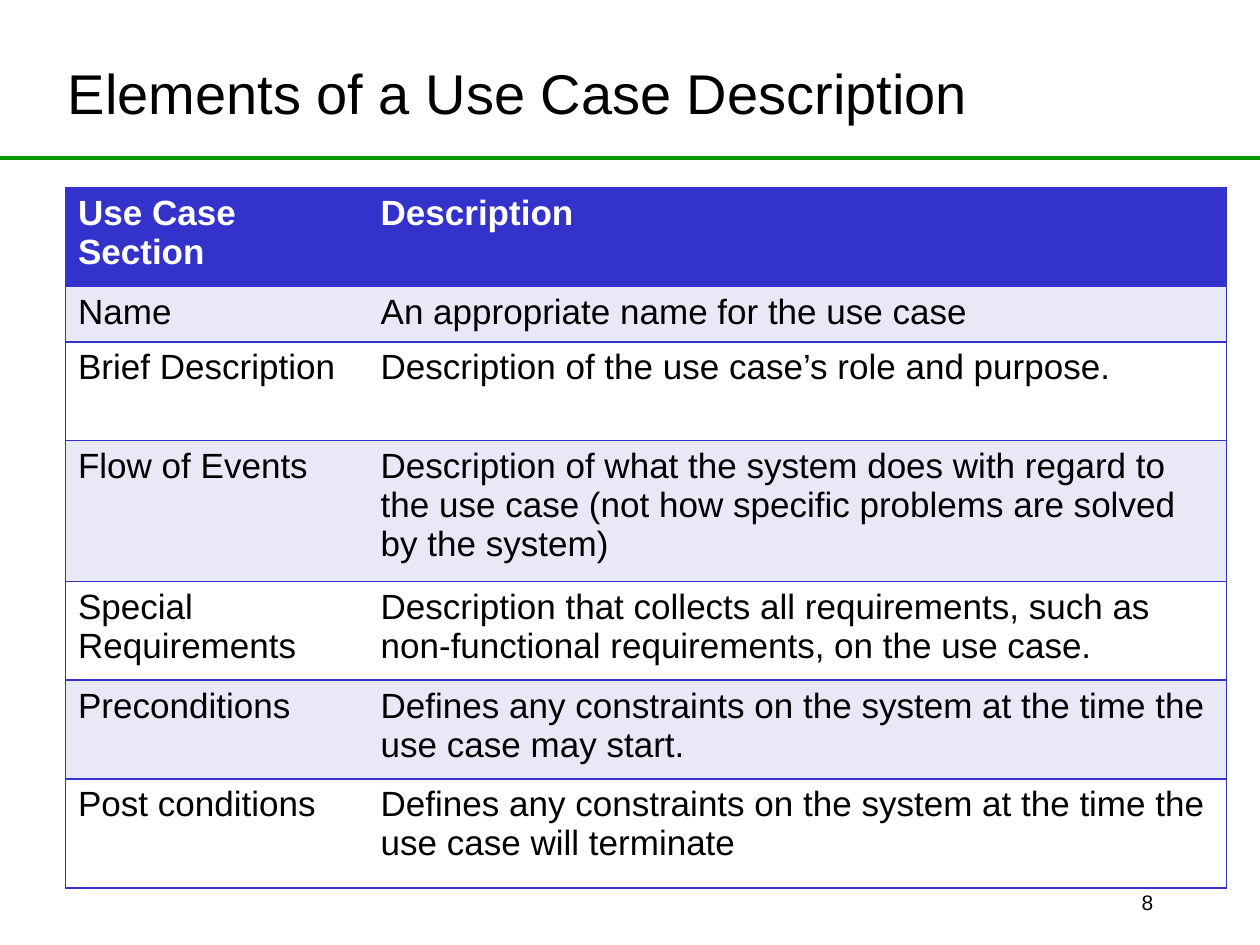
from lxml.etree import SubElement
from pptx import Presentation
from pptx.dml.color import RGBColor
from pptx.enum.shapes import MSO_CONNECTOR
from pptx.enum.text import MSO_ANCHOR as Anchor, PP_ALIGN as Align
from pptx.oxml.ns import qn
from pptx.util import Cm, Pt

BLACK = RGBColor(0x00, 0x00, 0x00)
WHITE = RGBColor(0xFF, 0xFF, 0xFF)
GREEN = RGBColor(0x00, 0x99, 0x00)
BLUE = RGBColor(0x33, 0x33, 0xCC)
LAVENDER = RGBColor(0xE8, 0xE8, 0xF6)

FONT = "Arial"
SLIDE_WIDTH, SLIDE_HEIGHT = Cm(25.4), Cm(19.05)
COLUMN_WIDTHS = (6.1, 17.3)
ROWS = [  # height in cm, section, description
    (1.99, "Use Case Section", "Description"),
    (1.12, "Name", "An appropriate name for the use case"),
    (1.99, "Brief Description", "Description of the use case’s role and purpose."),
    (2.84, "Flow of Events",
     "Description of what the system does with regard to the use case "
     "(not how specific problems are solved by the system)"),
    (1.99, "Special Requirements",
     "Description that collects all requirements, such as "
     "non-functional requirements, on the use case."),
    (1.99, "Preconditions",
     "Defines any constraints on the system at the time the use case may start."),
    (2.2, "Post conditions",
     "Defines any constraints on the system at the time the use case will terminate"),
]


def format_text(paragraph, size, color=BLACK, bold=False):
    for run in paragraph.runs:
        font = run.font
        font.name, font.size, font.bold = FONT, Pt(size), bold
        font.color.rgb = color


def add_text(slide, text, left, top, width, height, size,
             align=Align.LEFT, anchor=Anchor.TOP):
    frame = slide.shapes.add_textbox(left, top, width, height).text_frame
    frame.word_wrap = True
    frame.vertical_anchor = anchor
    frame.text = text
    frame.paragraphs[0].alignment = align
    format_text(frame.paragraphs[0], size)


def add_header(slide, left, top, width, height):
    """Place the title above a rule that spans the box."""
    add_text(slide, "Elements of a Use Case Description", left + Cm(1.12), top + Cm(0.53),
             Cm(22.78), Cm(2.64), 32, anchor=Anchor.MIDDLE)
    bottom = top + height
    rule = slide.shapes.add_connector(MSO_CONNECTOR.STRAIGHT, left, bottom, left + width, bottom)
    rule.line.color.rgb = GREEN
    rule.line.width = Pt(2.25)
    SubElement(rule._element.spPr, qn("a:effectLst"))


def set_borders(cell, outer_side):
    """Draw every side but the one shared by the two columns."""
    properties = cell._tc.get_or_add_tcPr()
    for side in "LRTB":
        line = SubElement(properties, qn(f"a:ln{side}"), w=str(Pt(1)))
        if side in (outer_side, "T", "B"):
            fill = SubElement(line, qn("a:solidFill"))
            SubElement(fill, qn("a:srgbClr"), val=str(BLUE))
        else:
            SubElement(line, qn("a:noFill"))


def add_elements_table(slide, left, top, width, height):
    table = slide.shapes.add_table(len(ROWS), len(COLUMN_WIDTHS), left, top, width, height).table
    table.horz_banding = False
    for column, column_width in zip(table.columns, COLUMN_WIDTHS):
        column.width = Cm(column_width)
    for index, (row, (row_height, *texts)) in enumerate(zip(table.rows, ROWS)):
        row.height = Cm(row_height)
        is_header = index == 0
        background = BLUE if is_header else LAVENDER if index % 2 else WHITE
        for cell, text, outer_side in zip(row.cells, texts, "LR"):
            set_borders(cell, outer_side)
            cell.fill.solid()
            cell.fill.fore_color.rgb = background
            cell.text = text
            paragraph = cell.text_frame.paragraphs[0]
            paragraph.space_after = Pt(3)
            format_text(paragraph, 20, WHITE if is_header else BLACK, is_header)


def main():
    presentation = Presentation()
    presentation.slide_width, presentation.slide_height = SLIDE_WIDTH, SLIDE_HEIGHT
    slide = presentation.slides.add_slide(presentation.slide_layouts[6])
    add_header(slide, 0, 0, SLIDE_WIDTH, Cm(3.18))
    add_text(slide, "8", Cm(18.2), Cm(17.8), Cm(5.3), Cm(0.81), 12, align=Align.RIGHT)
    add_elements_table(slide, Cm(1.32), Cm(3.78), Cm(sum(COLUMN_WIDTHS)),
                       Cm(sum(row[0] for row in ROWS)))
    presentation.save("out.pptx")


if __name__ == "__main__":
    main()
